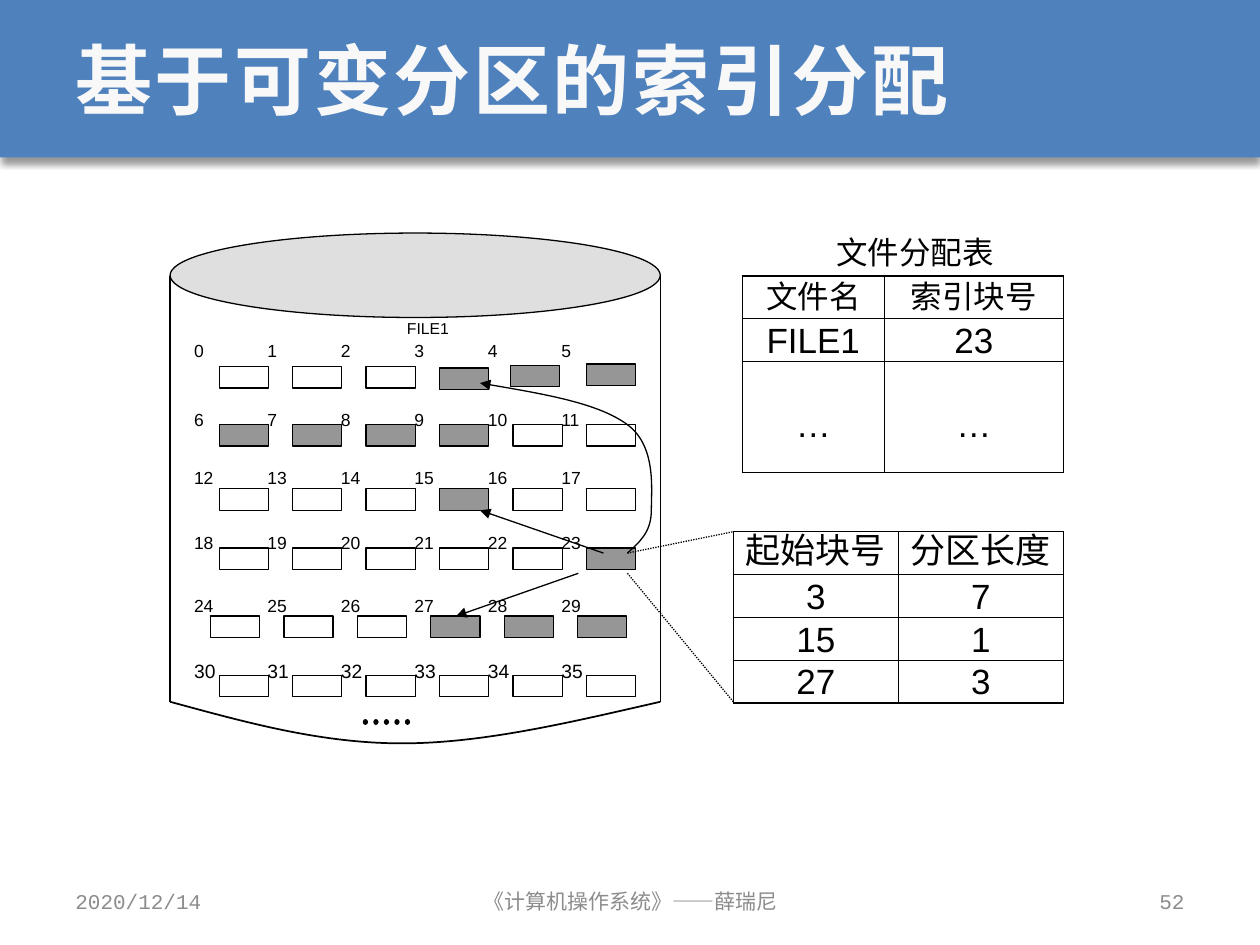
from dataclasses import dataclass, field

from lxml.etree import SubElement
from pptx import Presentation
from pptx.dml.color import RGBColor
from pptx.enum.dml import MSO_LINE_DASH_STYLE as Dash
from pptx.enum.shapes import MSO_CONNECTOR as Connector, MSO_SHAPE as Preset
from pptx.enum.text import MSO_ANCHOR as Anchor, PP_ALIGN as Align
from pptx.oxml import parse_xml
from pptx.oxml.ns import nsdecls, qn
from pptx.util import Inches, Pt

BLACK, GRAY, USED = "000000", "8C8C8C", "969696"
Point = tuple[float, float]


@dataclass
class BlockRow:
    """One row of six disk blocks with their numbers."""
    label_top: float
    block_top: float
    used: tuple[int, ...] = ()
    label_size: int = 10
    block_left: float = 1.74
    nudges: dict[int, Point] = field(default_factory=dict)


@dataclass
class Grid:
    """A table; sizes holds the font size of each row."""
    left: float
    top: float
    widths: list[float]
    heights: list[float]
    sizes: list[int]
    rows: list[list[str]]


BLOCK_ROWS = [
    BlockRow(2.7, 2.91, (3, 4, 5), nudges={3: (0, 0.01), 4: (-0.02, -0.01), 5: (0, -0.02)}),
    BlockRow(3.25, 3.37, (0, 1, 2, 3)),
    BlockRow(3.71, 3.88, (3,)),
    BlockRow(4.22, 4.35, (5,)),
    BlockRow(4.72, 4.89, (3, 4, 5), block_left=1.67),
    BlockRow(5.23, 5.36, label_size=11),
]
COLUMNS, PITCH = 6, 0.583

ALLOCATION = Grid(5.89, 2.19, [1.13, 1.42], [0.34, 0.34, 0.88], [18, 20, 20],
                  [["文件名", "索引块号"], ["FILE1", "23"], ["…", "…"]])
INDEX = Grid(5.82, 4.22, [1.31, 1.31], [0.34] * 4, [20] * 4,
             [["起始块号", "分区长度"], ["3", "7"], ["15", "1"], ["27", "3"]])

deck = Presentation()
deck.slide_width, deck.slide_height = Inches(10), Inches(7.5)
page = deck.slides.add_slide(deck.slide_layouts[6])


def color(code: str) -> RGBColor:
    return RGBColor.from_string(code)


def apply(target, values: dict) -> None:
    for name, value in values.items():
        setattr(target, name, value)


def write(para, text: str, size: float, font="Arial", code=BLACK, align=Align.LEFT, bold=False):
    para.alignment = align
    span = para.add_run()
    span.text = text
    apply(span.font, {"size": Pt(size), "name": font, "bold": bold})
    span.font.color.rgb = color(code)
    return span


def add_text(text: str, left: float, top: float, width: float, height: float, size: float,
             inset: Point = (0, 0), anchor=Anchor.TOP, **style):
    box = page.shapes.add_textbox(*map(Inches, (left, top, width, height)))
    side, end = map(Inches, inset)
    apply(box.text_frame, {"word_wrap": True, "vertical_anchor": anchor,
                           "margin_left": side, "margin_right": side,
                           "margin_top": end, "margin_bottom": end})
    return write(box.text_frame.paragraphs[0], text, size, **style)


def add_preset(preset: Preset, left: float, top: float, width: float, height: float,
               fill: str | None = None, outline: bool = True):
    shape = page.shapes.add_shape(preset, *map(Inches, (left, top, width, height)))
    shape.shadow.inherit = False
    if fill:
        shape.fill.solid()
        shape.fill.fore_color.rgb = color(fill)
    else:
        shape.fill.background()
    if outline:
        set_line(shape)
    else:
        shape.line.fill.background()
    return shape


def set_line(shape, width: float = 0.75, dash=None, arrow: bool = False, cap: str = "flat") -> None:
    shape.line.color.rgb = color(BLACK)
    apply(shape.line, {"width": Pt(width), "dash_style": dash})
    outline = shape.element.spPr.find(qn("a:ln"))
    outline.set("cap", cap)
    if arrow:
        SubElement(outline, qn("a:tailEnd"), type="triangle")


def add_line(start: Point, end: Point, **style) -> None:
    line = page.shapes.add_connector(Connector.STRAIGHT, *map(Inches, start + end))
    set_line(line, **style)
    SubElement(line.element.spPr, qn("a:effectLst"))


def add_curve(points: list[Point], **style) -> None:
    """Draw cubic curves: a start, then three points per curve."""
    start, *rest = [(Inches(x), Inches(y)) for x, y in points]
    builder = page.shapes.build_freeform(*start)
    builder.add_line_segments(rest, close=False)
    curve = builder.convert_to_shape()
    curve.shadow.inherit = False
    curve.fill.background()
    set_line(curve, **style)
    segments = list(curve.element.iter(qn("a:lnTo")))
    outline = segments[0].getparent()
    for first in range(0, len(segments), 3):
        cubic = SubElement(outline, qn("a:cubicBezTo"))
        for segment in segments[first:first + 3]:
            cubic.append(segment[0])
            outline.remove(segment)


def add_grid(grid: Grid) -> None:
    frame = page.shapes.add_table(len(grid.heights), len(grid.widths), *map(
        Inches, (grid.left, grid.top, sum(grid.widths), sum(grid.heights))))
    table = frame.table
    apply(table, {"first_row": False, "horz_banding": False})
    for column, width in zip(table.columns, grid.widths):
        column.width = Inches(width)
    for row, height, size, texts in zip(table.rows, grid.heights, grid.sizes, grid.rows):
        row.height = Inches(height)
        for cell, text in zip(row.cells, texts):
            top = Inches(0.33 if text == "…" else 0)
            apply(cell, {"margin_left": 0, "margin_right": 0, "margin_top": top, "margin_bottom": 0})
            cell.fill.background()
            para = cell.text_frame.paragraphs[0]
            write(para, text, size, align=Align.CENTER)
            para.line_spacing = Pt(24)
            add_borders(cell)


def add_borders(cell) -> None:
    properties = cell._tc.get_or_add_tcPr()
    for index, side in enumerate("LRTB"):
        properties.insert(index, parse_xml(
            f'<a:ln{side} {nsdecls("a")} w="{Pt(0.75)}"><a:solidFill>'
            f'<a:srgbClr val="{BLACK}"/></a:solidFill></a:ln{side}>'))


# Title bar with a soft shadow
bar = add_preset(Preset.RECTANGLE, 0, 0, 10, 1.25, "4F81BD", outline=False)
effects = bar.element.spPr.find(qn("a:effectLst"))
effects.append(parse_xml(
    f'<a:outerShdw {nsdecls("a")} blurRad="{Pt(4)}" dist="{Pt(3)}" dir="5400000" rotWithShape="0">'
    '<a:srgbClr val="000000"><a:alpha val="40000"/></a:srgbClr></a:outerShdw>'))
title = add_text("基于可变分区的索引分配", 0.5, 0, 9, 1.25, 44, (0.1, 0.05), Anchor.MIDDLE,
                 font="Noto Sans CJK SC", code="F8F8F8", bold=True)
title_format = title.font._element
title_format.set("spc", "150")
east_asian = SubElement(title_format, qn("a:ea"), typeface="Noto Sans CJK SC")

# Disk cylinder
left, right, rim, base = 1.35, 5.24, 2.19, 5.57
add_curve([(left, base), (1.94, 5.73), (2.54, 5.9), (3.19, 5.9),
           (3.84, 5.9), (4.54, 5.73), (right, base)], width=1)
lid = add_preset(Preset.OVAL, left, 1.85, right - left, 0.67, "C0C0C0")
lid_color = lid.element.spPr.find(qn("a:solidFill"))[0]
SubElement(lid_color, qn("a:alpha"), val="50000")
for side in (left, right):
    add_line((side, rim), (side, base))
add_line((2.9, 5.73), (3.29, 5.73), width=3, dash=Dash.ROUND_DOT, cap="rnd")
add_text("FILE1", 3.23, 2.53, 0.78, 0.33, 9, align=Align.JUSTIFY)

# Numbered disk blocks
for row_index, row in enumerate(BLOCK_ROWS):
    for column in range(COLUMNS):
        number, offset = row_index * COLUMNS + column, column * PITCH
        shift_x, shift_y = row.nudges.get(column, (0, 0))
        add_preset(Preset.RECTANGLE, row.block_left + offset + shift_x, row.block_top + shift_y,
                   0.39, 0.17, USED if column in row.used else None)
        add_text(str(number), 1.54 + offset, row.label_top, 0.19 if number < 10 else 0.39, 0.33,
                 row.label_size, align=Align.JUSTIFY)

# Pointers from the index block to the partitions and to its contents
add_curve([(4.98, 4.39), (5.08, 4.3), (5.17, 4.22), (5.17, 4.05), (5.17, 3.88), (5.21, 3.54),
           (4.98, 3.37), (4.75, 3.2), (4.28, 3.12), (3.81, 3.04)], arrow=True)
add_line((4.59, 4.55), (3.62, 4.89), arrow=True)
add_line((4.79, 4.39), (3.81, 4.05), arrow=True)
add_line((4.98, 4.39), (5.82, 4.22), dash=Dash.ROUND_DOT)
add_line((4.98, 4.55), (5.82, 5.57), dash=Dash.ROUND_DOT)

# File allocation table and index block contents
add_text("文件分配表", 5.89, 1.85, 2.74, 0.34, 18, align=Align.CENTER)
for grid in (ALLOCATION, INDEX):
    add_grid(grid)

# Footer
for text, start, width, align in [("2020/12/14", 0.5, 2.33, Align.LEFT),
                                  ("《计算机操作系统》——薛瑞尼", 3.42, 3.17, Align.CENTER),
                                  ("52", 7.17, 2.33, Align.RIGHT)]:
    add_text(text, start, 6.95, width, 0.4, 12, (0.1, 0.05), Anchor.MIDDLE,
             font="Courier New", code=GRAY, align=align)

deck.save("out.pptx")
